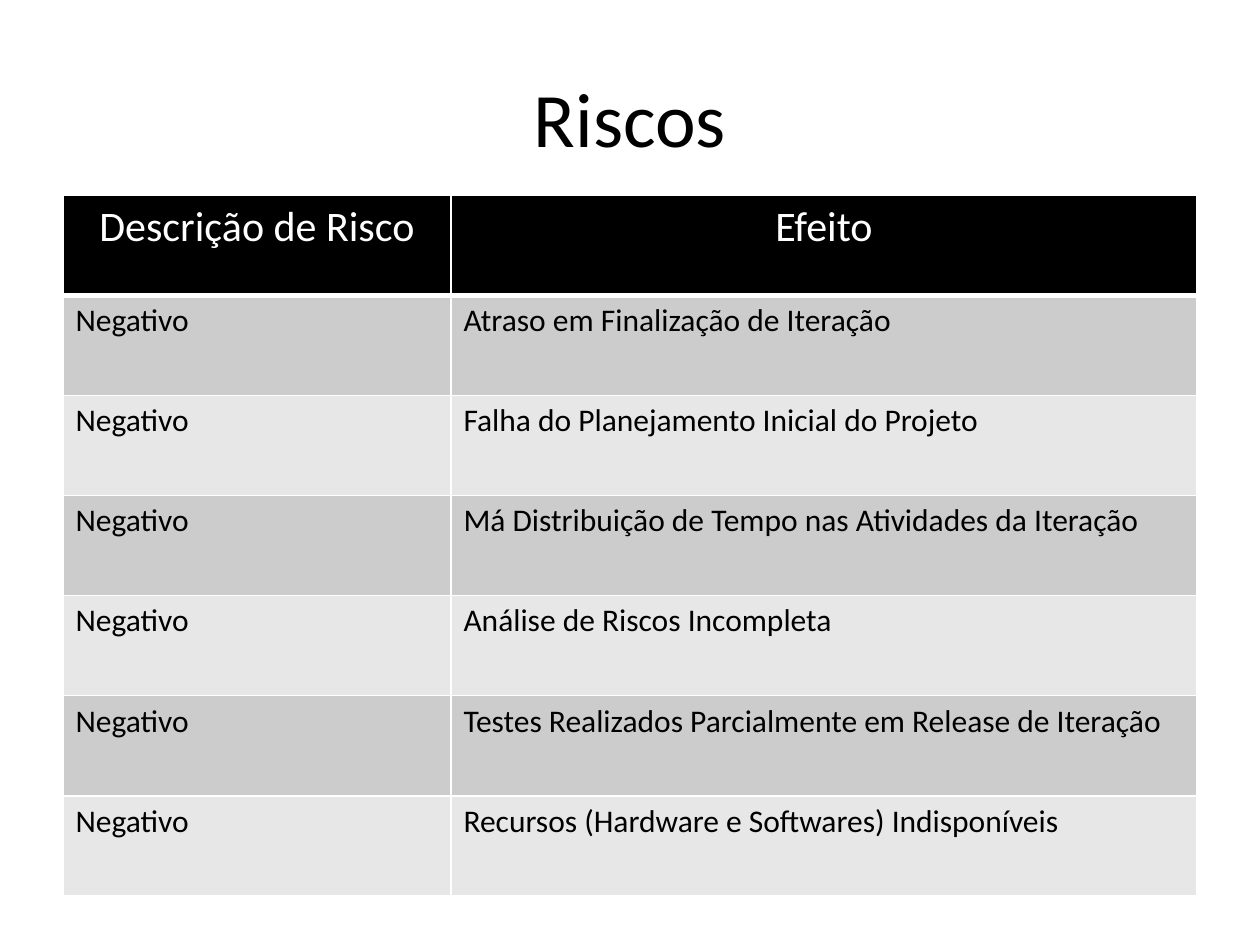
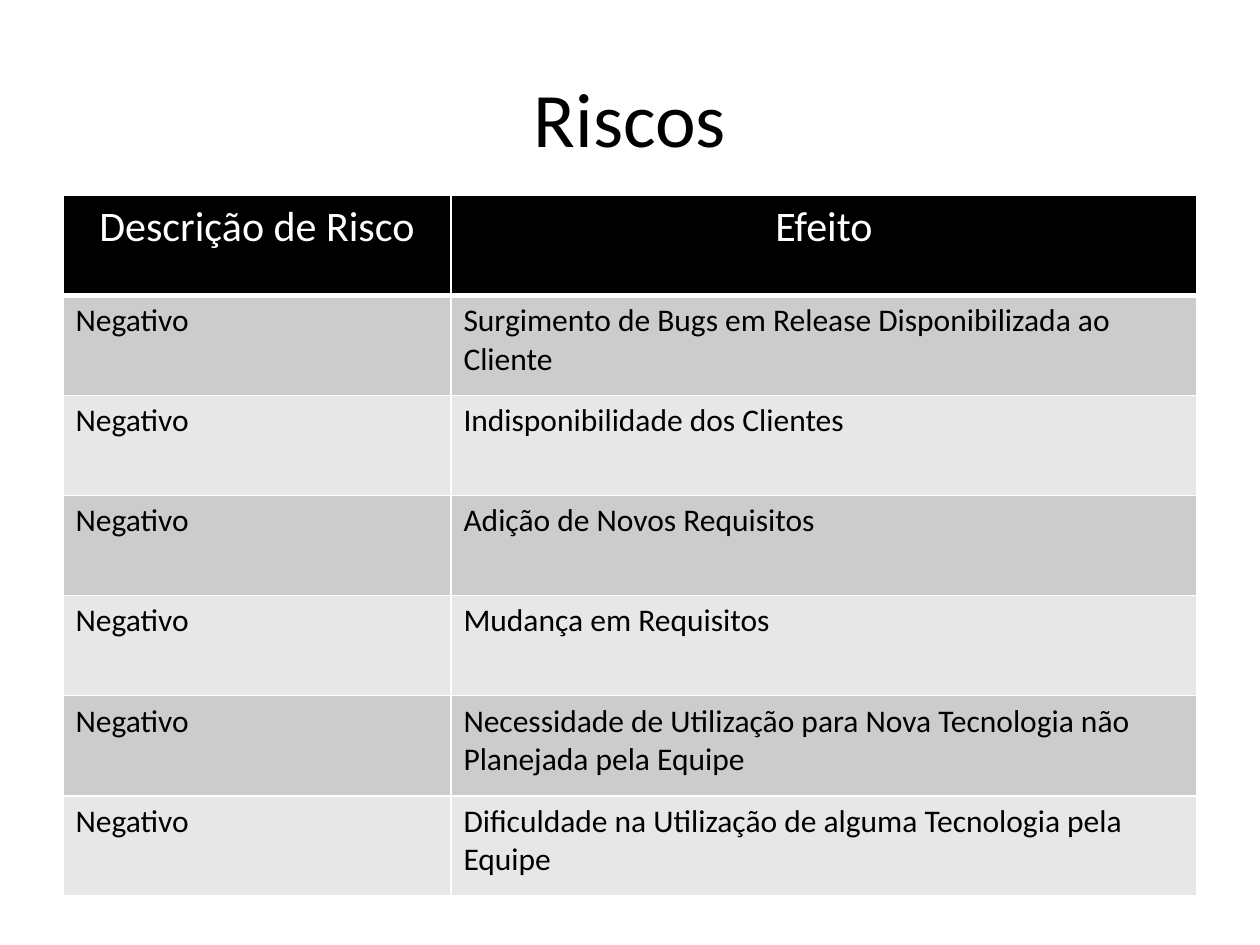
from lxml.etree import SubElement
from pptx import Presentation
from pptx.dml.color import RGBColor
from pptx.enum.text import MSO_ANCHOR as Anchor, PP_ALIGN as Align
from pptx.oxml.ns import qn
from pptx.util import Cm, Pt

LEFT, WIDTH = 1.27, 22.86
RISK_WIDTH = 7.82
TABLE_TOP, TABLE_HEIGHT = 3.94, 14.12
HEADINGS = ("Descrição de Risco", "Efeito")
RISK = "Negativo"
EFFECTS_BY_SLIDE = (
    (
        "Atraso em Finalização de Iteração",
        "Falha do Planejamento Inicial do Projeto",
        "Má Distribuição de Tempo nas Atividades da Iteração",
        "Análise de Riscos Incompleta",
        "Testes Realizados Parcialmente em Release de Iteração",
        "Recursos (Hardware e Softwares) Indisponíveis",
    ),
    (
        "Surgimento de Bugs em Release Disponibilizada ao Cliente",
        "Indisponibilidade dos Clientes",
        "Adição de Novos Requisitos",
        "Mudança em Requisitos",
        "Necessidade de Utilização para Nova Tecnologia não Planejada pela Equipe",
        "Dificuldade na Utilização de alguma Tecnologia pela Equipe",
    ),
)


def rgb(code):
    """Turn a hex string into a colour."""
    return RGBColor.from_string(code)


class Deck:
    """Holds the style and the current slide."""

    font = "Calibri"
    ink, paper = "000000", "FFFFFF"
    bands = ("CCCCCC", "E7E7E7")
    title_size, heading_size, body_size = 44, 24, 18
    thin, thick = 0.96, 3

    def __init__(self):
        """Start a 4:3 presentation."""
        self.prs = Presentation()
        self.prs.slide_width, self.prs.slide_height = Cm(25.4), Cm(19.05)
        self.slide = None

    def new_slide(self):
        """Add a blank slide and make it current."""
        self.slide = self.prs.slides.add_slide(self.prs.slide_layouts[6])
        background = self.slide.background.fill
        background.solid()
        background.fore_color.rgb = rgb(self.paper)

    def set_text(self, frame, text, size, color, align):
        """Fill a text frame with one formatted paragraph."""
        frame.text = text
        paragraph = frame.paragraphs[0]
        paragraph.alignment = align
        font = paragraph.runs[0].font
        font.name, font.size, font.color.rgb = self.font, Pt(size), rgb(color)

    def title(self, text):
        """Add the centred slide title."""
        box = self.slide.shapes.add_textbox(Cm(LEFT), Cm(0.76), Cm(WIDTH), Cm(3.18))
        frame = box.text_frame
        frame.word_wrap = True
        frame.vertical_anchor = Anchor.MIDDLE
        self.set_text(frame, text, self.title_size, self.ink, Align.CENTER)

    def borders(self, cell, top, bottom):
        """Draw the four cell borders, thin at both sides."""
        properties = cell._tc.get_or_add_tcPr()
        widths = {"L": self.thin, "R": self.thin, "T": top, "B": bottom}
        for side, width in widths.items():
            line = SubElement(properties, qn(f"a:ln{side}"), w=str(Pt(width)))
            fill = SubElement(line, qn("a:solidFill"))
            SubElement(fill, qn("a:srgbClr"), val=self.paper)

    def cell(self, cell, text, row):
        """Style one cell as heading or as banded body."""
        heading = row == 0
        self.borders(cell, self.thick if row == 1 else self.thin,
                     self.thick if heading else self.thin)
        cell.fill.solid()
        cell.fill.fore_color.rgb = rgb(self.ink if heading else self.bands[(row - 1) % 2])
        if heading:
            self.set_text(cell.text_frame, text, self.heading_size, self.paper, Align.CENTER)
        else:
            self.set_text(cell.text_frame, text, self.body_size, self.ink, Align.LEFT)

    def risk_table(self, effects):
        """Add the table of risks and their effects."""
        rows = [HEADINGS] + [(RISK, effect) for effect in effects]
        table = self.slide.shapes.add_table(
            len(rows), len(HEADINGS),
            Cm(LEFT), Cm(TABLE_TOP), Cm(WIDTH), Cm(TABLE_HEIGHT)).table
        table.columns[0].width = Cm(RISK_WIDTH)
        table.columns[1].width = Cm(WIDTH - RISK_WIDTH)
        for row, texts in enumerate(rows):
            for column, text in enumerate(texts):
                self.cell(table.cell(row, column), text, row)


def main():
    """Build one slide for each group of effects."""
    deck = Deck()
    for effects in EFFECTS_BY_SLIDE:
        deck.new_slide()
        deck.title("Riscos")
        deck.risk_table(effects)
    deck.prs.save("out.pptx")


main()
